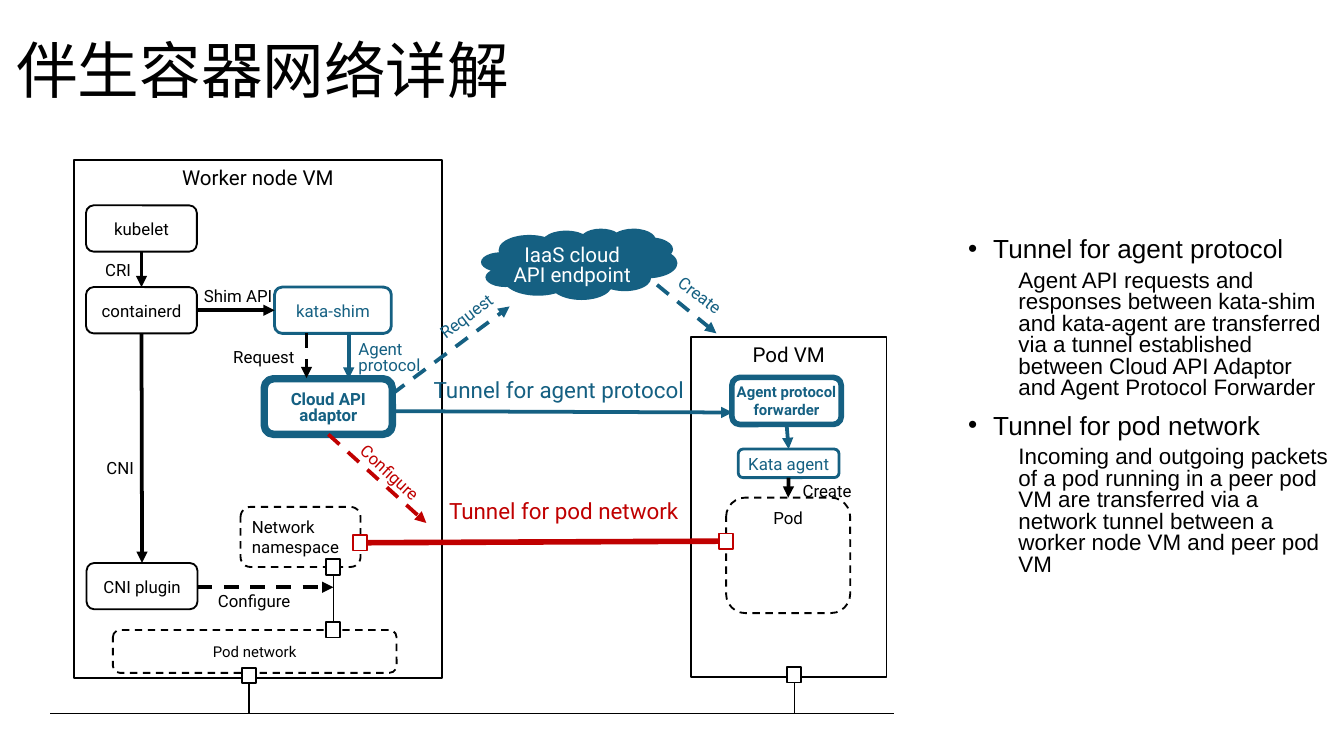
from lxml.etree import SubElement
from pptx import Presentation
from pptx.dml.color import RGBColor
from pptx.enum.dml import MSO_LINE
from pptx.enum.shapes import MSO_CONNECTOR, MSO_SHAPE
from pptx.enum.text import MSO_ANCHOR, MSO_AUTO_SIZE, PP_ALIGN
from pptx.oxml.ns import qn
from pptx.util import Pt

COLORS = {"black": "000000", "white": "FFFFFF", "blue": "156082", "red": "C00000"}
TOP, LEFT, BOTTOM, RIGHT = range(4)
TEXT_INSETS = (5.2, 2.6, 5.2, 2.6)
NODE_INSETS = (0, 2.4, 0, 0)

TITLE = "伴生容器网络详解"
POINTS = [
    ("Tunnel for agent protocol",
     "Agent API requests and responses between kata-shim and kata-agent are transferred "
     "via a tunnel established between Cloud API Adaptor and Agent Protocol Forwarder"),
    ("Tunnel for pod network",
     "Incoming and outgoing packets of a pod running in a peer pod VM are transferred "
     "via a network tunnel between a worker node VM and peer pod VM"),
]

# (text, left, top, width, height)
MACHINES = [
    ("Worker node VM", 39.7, 85.9, 197, 277.4),
    ("Pod VM", 370.3, 180.7, 104.7, 182),
]
# (text, left, top, width, height, text format)
AREAS = [
    ("Network namespace", 128.9, 271.6, 64.3, 32.2,
     dict(size=9, align=PP_ALIGN.LEFT, insets=(4.5, 2.6, 6.2, 2.6))),
    ("Pod network", 60.5, 337.5, 152, 23, dict(size=8)),
    ("Pod", 389, 266.6, 66.5, 61.9, dict(size=9, anchor=MSO_ANCHOR.TOP)),
]
# (text, left, top, width, height, colour, line width, text format)
NODES = [
    ("kubelet", 46.1, 110, 59.4, 24.8, "black", 1, {}),
    ("containerd", 46.1, 153.8, 59.4, 24.8, "black", 1, {}),
    ("CNI plugin", 46.4, 301.6, 59.4, 24.8, "black", 1, {}),
    ("kata-shim", 147.1, 153.8, 62.6, 24.8, "blue", 1.5, {}),
    ("Cloud API adaptor", 141.6, 202.9, 68.6, 29.8, "blue", 4, dict(bold=True)),
    ("Agent protocol forwarder", 392.1, 202.2, 58.6, 25.2, "blue", 3,
     dict(size=8, bold=True, spacing=1, insets=(0, 0, 0, 0))),
    ("Kata agent", 395.5, 240.6, 54, 15.3, "blue", 1.5, {}),
]
SOCKET_SIZE = (7.6, 8.3)
# name: (left, top, colour)
SOCKETS = {
    "pod network top": (174.8, 333.2, "black"),
    "namespace bottom": (174.8, 299.6, "black"),
    "worker bottom": (129.7, 357.8, "black"),
    "pod VM bottom": (421.7, 357.4, "black"),
    "namespace right": (189, 286.6, "red"),
    "pod left": (385.2, 285.8, "red"),
}
CLOUD = ("IaaS cloud\nAPI endpoint", 257.8, 122.4, 105.1, 38.2)

# Ends are points or (shape, side): (begin, end, colour, width, dashed, arrow)
LINKS = [
    (("kubelet", BOTTOM), ("containerd", TOP), "black", 2, False, True),
    (("containerd", RIGHT), ("kata-shim", LEFT), "black", 2, False, True),
    (("containerd", BOTTOM), ("CNI plugin", TOP), "black", 2, False, True),
    ((164.2, 178.2), (164.2, 202.6), "black", 2, True, True),
    ((186.8, 178.2), (186.8, 202.9), "blue", 2, False, True),
    ((105.8, 314.6), (178.6, 314.6), "black", 2, True, True),
    ((210.2, 211), (273, 164.2), "blue", 2, True, True),
    ((352, 152.6), (383.8, 178.6), "blue", 2, True, True),
    ((210.2, 220.3), (392.4, 221), "blue", 2, False, True),
    (("Agent protocol forwarder", BOTTOM), ("Kata agent", TOP), "blue", 2, False, True),
    (("Kata agent", BOTTOM), ("Pod", TOP), "black", 2, True, True),
    (("Cloud API adaptor", BOTTOM), (228.4, 280.2), "red", 2, True, True),
    (("pod left", LEFT), ("namespace right", RIGHT), "red", 3, False, False),
    (("pod network top", TOP), ("namespace bottom", BOTTOM), "black", 0.75, False, False),
    (("worker bottom", BOTTOM), (133.5, 382.3), "black", 0.75, False, False),
    (("pod VM bottom", BOTTOM), (425.5, 382.3), "black", 0.75, False, False),
    ((478.8, 382.3), (26.9, 382.3), "black", 0.75, False, False),
]
# (text, left, top, width, height, size, colour, rotation, line spacing)
LABELS = [
    ("CRI", 51.1, 136.8, 26.5, 16.6, 9, "black", 0, 1),
    ("Shim API", 104, 150.6, 49.4, 16.6, 9, "black", 0, 1),
    ("CNI", 51.8, 242.8, 27, 16.6, 9, "black", 0, 1),
    ("Configure", 111.6, 314, 50.8, 16.6, 9, "black", 0, 1),
    ("Request", 119.8, 183.4, 45, 16.6, 9, "black", 0, 1),
    ("Create", 424.8, 255.1, 38.5, 16.6, 9, "black", 0, 1),
    ("Agent protocol", 186.8, 180.7, 46.8, 23, 9, "blue", 0, 0.8),
    ("Configure", 184, 245.6, 50.8, 16.6, 9, "red", 42.7, 1),
    ("Request", 228.2, 160.6, 45, 16.6, 9, "blue", 322.9, 1),
    ("Create", 356.4, 150.6, 38.5, 16.6, 9, "blue", 37.5, 1),
    ("Tunnel for agent protocol", 227.2, 198.7, 149, 20.2, 12, "blue", 0, 1),
    ("Tunnel for pod network", 235.4, 263.5, 138, 20.2, 12, "red", 0, 1),
]


def color(name):
    return RGBColor.from_string(COLORS[name])


def write(shape, text, size=9, color_name="black", bold=False, font="Roboto",
          align=PP_ALIGN.CENTER, anchor=MSO_ANCHOR.MIDDLE, insets=TEXT_INSETS, spacing=1):
    """Fill a shape with text, one paragraph per line, and return its paragraphs."""
    frame = shape.text_frame
    frame.text = text
    frame.word_wrap = True
    frame.auto_size = MSO_AUTO_SIZE.NONE
    frame.vertical_anchor = anchor
    (frame.margin_left, frame.margin_top,
     frame.margin_right, frame.margin_bottom) = map(Pt, insets)
    for paragraph in frame.paragraphs:
        paragraph.alignment = align
        paragraph.line_spacing = spacing
        paragraph.space_before = Pt(0)
        for run in paragraph.runs:
            run.font.name = font
            run.font.size = Pt(size)
            run.font.bold = bold
            run.font.color.rgb = color(color_name)
    return frame.paragraphs


def place(shape, left, top, width, height):
    shape.left, shape.top, shape.width, shape.height = map(Pt, (left, top, width, height))


def add_box(slide, kind, box, fill=None, line=None, width=1, dashed=False):
    shape = slide.shapes.add_shape(kind, *map(Pt, box))
    shape.shadow.inherit = False
    if fill:
        shape.fill.solid()
        shape.fill.fore_color.rgb = color(fill)
    else:
        shape.fill.background()
    if line:
        shape.line.color.rgb = color(line)
        shape.line.width = Pt(width)
        if dashed:
            shape.line.dash_style = MSO_LINE.DASH
    else:
        shape.line.fill.background()
    return shape


def add_link(slide, shapes, begin, end, line, width, dashed, arrow):
    start, stop = [(0, 0) if isinstance(e[0], str) else e for e in (begin, end)]
    connector = slide.shapes.add_connector(MSO_CONNECTOR.STRAIGHT, *map(Pt, start + stop))
    for link_end, connect in ((begin, connector.begin_connect), (end, connector.end_connect)):
        if isinstance(link_end[0], str):
            connect(shapes[link_end[0]], link_end[1])
    connector.line.color.rgb = color(line)
    connector.line.width = Pt(width)
    if dashed:
        connector.line.dash_style = MSO_LINE.DASH
    properties = connector._element.spPr
    if arrow:
        SubElement(properties.find(qn("a:ln")), qn("a:tailEnd"), type="triangle")
    SubElement(properties, qn("a:effectLst"))


def add_points(body):
    lines = [line for point in POINTS for line in point]
    paragraphs = write(body, "\n".join(lines), font="Arial", align=PP_ALIGN.LEFT,
                       anchor=MSO_ANCHOR.TOP, spacing=0.8)
    for index, paragraph in enumerate(paragraphs):
        is_detail = index % 2 == 1
        properties = paragraph._p.get_or_add_pPr()
        properties.set("marL", str(Pt(27 if is_detail else 13.5)))
        properties.set("indent", str(0 if is_detail else -Pt(13.5)))
        if is_detail:
            SubElement(properties, qn("a:buNone"))
        else:
            SubElement(properties, qn("a:buFont"), typeface="Arial")
            SubElement(properties, qn("a:buChar"), char="•")
        paragraph.level = int(is_detail)
        paragraph.space_before = Pt(4 if is_detail else 8 if index else 0)
        paragraph.runs[0].font.size = Pt(12 if is_detail else 14)


def main():
    presentation = Presentation()
    presentation.slide_width, presentation.slide_height = Pt(720), Pt(405)
    slide = presentation.slides.add_slide(presentation.slide_layouts[1])
    title, body = slide.shapes.title, slide.placeholders[1]
    place(title, 3.6, 0, 620.6, 78.5)
    write(title, TITLE, size=33, font="Arial", align=PP_ALIGN.LEFT, spacing=0.9)
    place(body, 513.4, 125.3, 205.2, 228.2)
    add_points(body)

    shapes = {}
    for text, *box in MACHINES:
        machine = add_box(slide, MSO_SHAPE.RECTANGLE, box, fill="white", line="black")
        write(machine, text, size=11, anchor=MSO_ANCHOR.TOP)
    for text, *box, text_format in AREAS:
        shapes[text] = add_box(slide, MSO_SHAPE.ROUNDED_RECTANGLE, box, line="black", dashed=True)
        write(shapes[text], text, **text_format)
    for text, *box, line, width, text_format in NODES:
        shapes[text] = add_box(slide, MSO_SHAPE.ROUNDED_RECTANGLE, box, line=line, width=width)
        write(shapes[text], text, color_name=line,
              **{"spacing": 0.8, "insets": NODE_INSETS, **text_format})
    for name, (left, top, line) in SOCKETS.items():
        shapes[name] = add_box(slide, MSO_SHAPE.RECTANGLE, (left, top, *SOCKET_SIZE),
                               fill="white", line=line)

    text, *box = CLOUD
    cloud = add_box(slide, MSO_SHAPE.CLOUD_CALLOUT, box, fill="blue")
    cloud.adjustments[0], cloud.adjustments[1] = 0.18, -0.02
    write(cloud, text, size=11, color_name="white", insets=(0, 4.3, 0, 0), spacing=0.8)

    for link in LINKS:
        add_link(slide, shapes, *link)
    for text, *box, size, color_name, rotation, spacing in LABELS:
        label = slide.shapes.add_textbox(*map(Pt, box))
        label.rotation = rotation
        write(label, text, size=size, color_name=color_name, align=PP_ALIGN.LEFT,
              anchor=MSO_ANCHOR.TOP, spacing=spacing)
    presentation.save("out.pptx")


if __name__ == "__main__":
    main()
